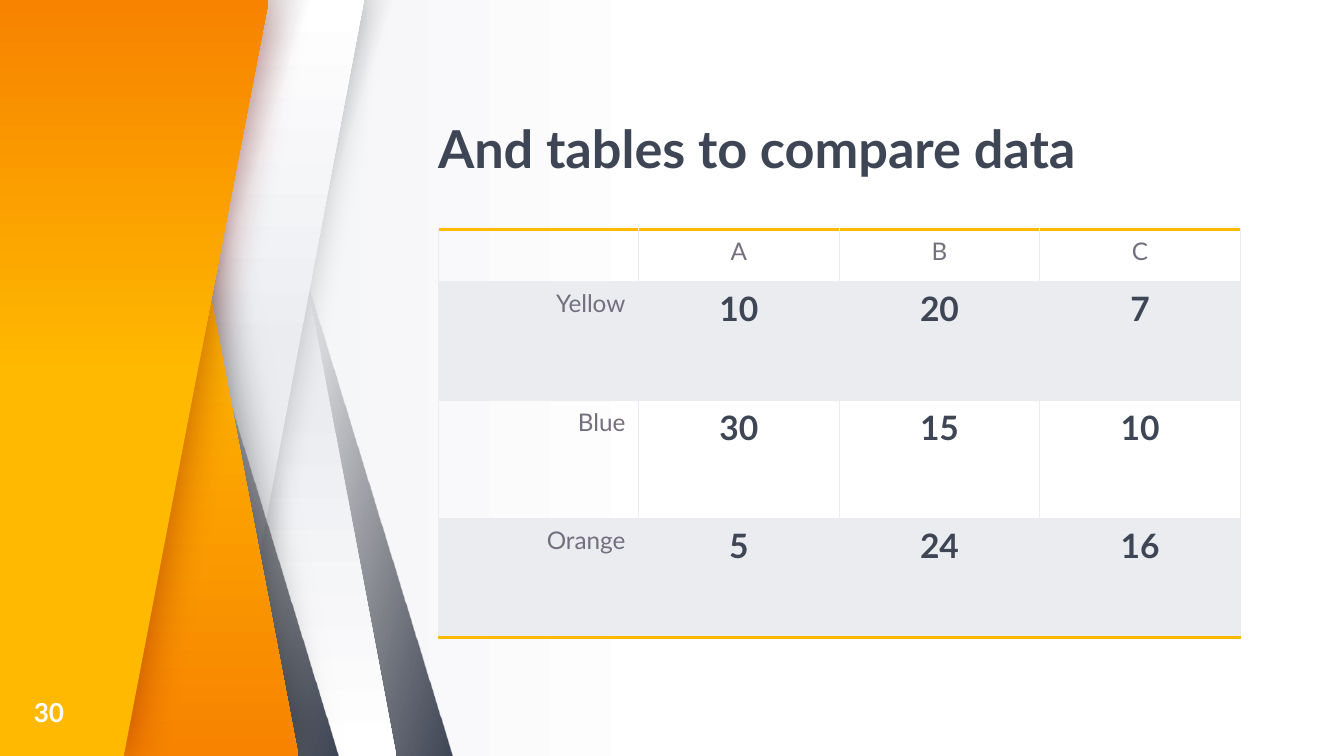
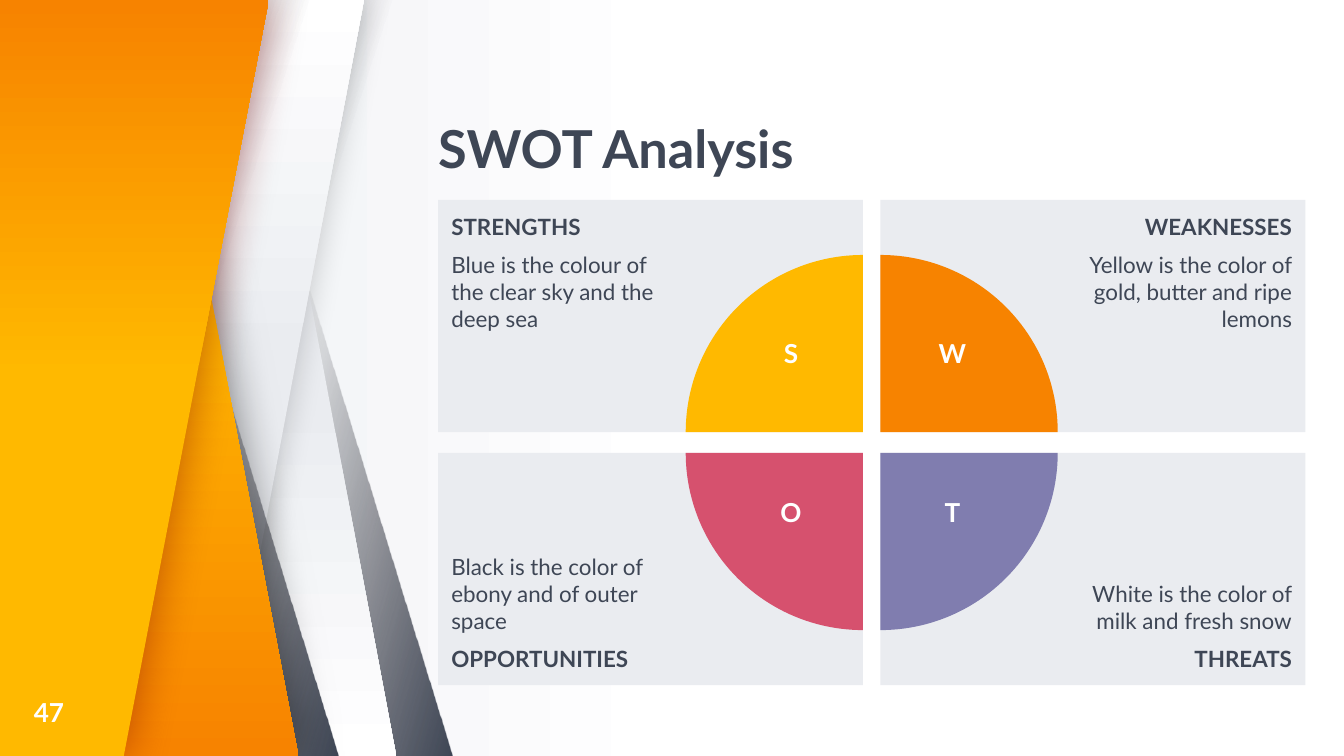
import dataclasses

import lxml.etree
import pptx
import pptx.dml.color
import pptx.enum.shapes
import pptx.enum.text
import pptx.oxml.ns
import pptx.util

Cm = pptx.util.Cm
Pt = pptx.util.Pt
qn = pptx.oxml.ns.qn
Align = pptx.enum.text.PP_ALIGN
Anchor = pptx.enum.text.MSO_ANCHOR
Preset = pptx.enum.shapes.MSO_SHAPE


@dataclasses.dataclass(frozen=True)
class Theme:
    font: str = "Lato"
    ink: str = "3E4655"
    muted: str = "746F7E"
    shade: str = "27252C"
    pale: str = "EAECF0"
    white: str = "FFFFFF"
    yellow: str = "FFB900"
    orange: str = "F78300"
    violet: str = "807DAF"
    red: str = "D6516E"
    black: str = "000000"
    maroon: str = "7E0808"
    title_size: float = 28
    value_size: float = 18
    mark_size: float = 14
    label_size: float = 13
    text_size: float = 12


THEME = Theme()
SLIDE_WIDTH, SLIDE_HEIGHT = 25.4, 14.29
CONTENT_LEFT = 8.28
STRIP_WIDTH = 5.84

TABLE_TITLE, TABLE_NUMBER = "And tables to compare data", "30"
TABLE_ROWS = [
    ["", "A", "B", "C"],
    ["Yellow", "10", "20", "7"],
    ["Blue", "30", "15", "10"],
    ["Orange", "5", "24", "16"],
]
TABLE_TOP, COLUMN_WIDTH, HEADER_HEIGHT, ROW_HEIGHT = 4.34, 3.79, 0.99, 2.24

SWOT_TITLE, SWOT_NUMBER = "SWOT Analysis", "47"
SWOT_PARTS = [
    ("S", "STRENGTHS", "Blue is the colour of the clear sky and the deep sea", THEME.yellow, -1, -1),
    ("W", "WEAKNESSES", "Yellow is the color of gold, butter and ripe lemons", THEME.orange, 1, -1),
    ("T", "THREATS", "White is the color of milk and fresh snow", THEME.violet, 1, 1),
    ("O", "OPPORTUNITIES", "Black is the color of ebony and of outer space", THEME.red, -1, 1),
]
SWOT_TOP, BOX_WIDTH, BOX_HEIGHT, GAP_X, GAP_Y = 3.78, 8.03, 4.39, 0.33, 0.39
RADIUS = 3.35

STEEP, SLIGHT = 0.75, 0.46
STRIPS = [
    (2.72, True, STEEP), (1.65, True, SLIGHT), (1.65, False, STEEP), (1.04, False, SLIGHT),
    (0.56, True, STEEP), (0.08, False, STEEP),
]
SHADOWED_STRIP = 3
LOWER_PANEL = [(0, 0), (0, SLIDE_HEIGHT), (5.64, SLIDE_HEIGHT), (2.92, 0)]
UPPER_PANEL = [(0, SLIDE_HEIGHT), (0, 0), (5.08, 0), (2.34, SLIDE_HEIGHT)]


def rgb(value):
    return pptx.dml.color.RGBColor.from_string(value)


def add_run(paragraph, text, size, color, bold=False):
    run = paragraph.add_run()
    run.text = text
    run.font.name = THEME.font
    run.font.size = Pt(size)
    run.font.bold = bold
    run.font.color.rgb = rgb(color)


def set_margins(frame, left, top, right, bottom):
    frame.margin_left, frame.margin_top = Cm(left), Cm(top)
    frame.margin_right, frame.margin_bottom = Cm(right), Cm(bottom)


def set_gradient(fill, start, start_color, end_color, angle, faded=False):
    fill.gradient()
    fill.gradient_angle = 360 - angle
    for stop, position, color in zip(fill.gradient_stops, (start, 1), (start_color, end_color)):
        stop.position = position
        stop.color.rgb = rgb(color)
    if faded:
        first_color = next(fill.gradient_stops[0]._gs.iter(qn("a:srgbClr")))
        lxml.etree.SubElement(first_color, qn("a:alpha"), val="0")


def clean(shape):
    shape.shadow.inherit = False
    shape.line.fill.background()
    return shape


def add_glow(shape, color, opacity, blur):
    effects = shape.element.spPr.find(qn("a:effectLst"))
    shadow = lxml.etree.SubElement(
        effects, qn("a:outerShdw"), blurRad=str(Pt(blur)), dist="0", dir="0", algn="ctr", rotWithShape="0")
    shadow_color = lxml.etree.SubElement(shadow, qn("a:srgbClr"), val=color)
    lxml.etree.SubElement(shadow_color, qn("a:alpha"), val=str(opacity * 1000))


def add_strip(slide, left, flipped, slant):
    strip = clean(slide.shapes.add_shape(
        Preset.PARALLELOGRAM, Cm(left), 0, Cm(STRIP_WIDTH), Cm(SLIDE_HEIGHT)))
    strip.adjustments[0] = slant
    if flipped:
        strip.element.spPr.get_or_add_xfrm().set("flipH", "1")
    if slant == STEEP:
        set_gradient(strip.fill, 0.45, THEME.shade, THEME.ink, 164 if flipped else 198, faded=True)
    else:
        set_gradient(strip.fill, 0.53, THEME.pale, THEME.white, 90 if flipped else 270)
    return strip


def add_panel(slide, points, start, angle, shadow_color):
    corners = [(Cm(x), Cm(y)) for x, y in points]
    builder = slide.shapes.build_freeform(*corners[0])
    builder.add_line_segments(corners[1:], close=True)
    panel = clean(builder.convert_to_shape())
    set_gradient(panel.fill, start, THEME.yellow, THEME.orange, angle)
    add_glow(panel, shadow_color, 50, 24.7)
    return panel


def decorate_layout(layout, slide):
    set_gradient(layout.background.fill, 0.5, THEME.white, THEME.pale, 180)
    bands = [add_strip(slide, *strip) for strip in STRIPS]
    add_glow(bands[SHADOWED_STRIP], THEME.black, 20, 16.9)
    bands.insert(-1, add_panel(slide, LOWER_PANEL, 0.37, 90, THEME.black))
    bands.append(add_panel(slide, UPPER_PANEL, 0.5, 270, THEME.maroon))
    for position, band in enumerate(bands, start=2):
        layout.shapes.element.insert(position, band.element)

    title = layout.placeholders[0]
    title.left, title.top = Cm(CONTENT_LEFT), Cm(2.31)
    title.width, title.height = Cm(4 * COLUMN_WIDTH), Cm(1.09)
    frame = title.text_frame
    frame.vertical_anchor = Anchor.BOTTOM
    frame.auto_size = pptx.enum.text.MSO_AUTO_SIZE.NONE
    set_margins(frame, 0, 0, 0, 0)


def add_heading(slide, title, number):
    paragraph = slide.shapes.title.text_frame.paragraphs[0]
    paragraph.alignment = Align.LEFT
    paragraph.line_spacing = 0.9
    add_run(paragraph, title, THEME.title_size, THEME.ink, True)
    frame = slide.shapes.add_textbox(Cm(0.64), Cm(13.11), Cm(1.02), Cm(0.69)).text_frame
    frame.word_wrap = True
    frame.vertical_anchor = Anchor.MIDDLE
    set_margins(frame, 0, 0, 0, 0)
    add_run(frame.paragraphs[0], number, THEME.mark_size, THEME.white, True)


def set_borders(cell, top, bottom):
    properties = cell._tc.get_or_add_tcPr()
    thin = (THEME.pale, 0.75)
    sides = [("a:lnL", thin), ("a:lnR", thin), ("a:lnT", top or thin), ("a:lnB", bottom or thin)]
    for position, (tag, (color, width)) in enumerate(sides):
        line = lxml.etree.Element(qn(tag), w=str(Pt(width)))
        fill = lxml.etree.SubElement(line, qn("a:solidFill"))
        lxml.etree.SubElement(fill, qn("a:srgbClr"), val=color)
        properties.insert(position, line)


def add_comparison_table(slide):
    last = len(TABLE_ROWS) - 1
    columns = len(TABLE_ROWS[0])
    table = slide.shapes.add_table(
        len(TABLE_ROWS), columns, Cm(CONTENT_LEFT), Cm(TABLE_TOP),
        Cm(columns * COLUMN_WIDTH), Cm(HEADER_HEIGHT + last * ROW_HEIGHT)).table
    table.first_row = table.horz_banding = False
    for column in table.columns:
        column.width = Cm(COLUMN_WIDTH)
    accent = (THEME.yellow, 2.21)
    for row, texts in enumerate(TABLE_ROWS):
        table.rows[row].height = Cm(ROW_HEIGHT if row else HEADER_HEIGHT)
        for column, text in enumerate(texts):
            cell = table.cell(row, column)
            if row % 2:
                cell.fill.solid()
                cell.fill.fore_color.rgb = rgb(THEME.pale)
            else:
                cell.fill.background()
            set_borders(cell, accent if row == 0 else None, accent if row == last else None)
            if not text:
                cell.margin_top = cell.margin_bottom = 0
                continue
            paragraph = cell.text_frame.paragraphs[0]
            paragraph.alignment = Align.CENTER if column else Align.RIGHT
            if row and column:
                add_run(paragraph, text, THEME.value_size, THEME.ink, True)
            else:
                add_run(paragraph, text, THEME.label_size, THEME.muted)


def add_swot_box(slide, heading, text, side_x, side_y):
    left = CONTENT_LEFT + (BOX_WIDTH + GAP_X) * (side_x > 0)
    top = SWOT_TOP + (BOX_HEIGHT + GAP_Y) * (side_y > 0)
    box = clean(slide.shapes.add_shape(
        Preset.RECTANGLE, Cm(left), Cm(top), Cm(BOX_WIDTH), Cm(BOX_HEIGHT)))
    box.fill.solid()
    box.fill.fore_color.rgb = rgb(THEME.pale)
    frame = box.text_frame
    frame.word_wrap = True
    frame.vertical_anchor = Anchor.TOP if side_y < 0 else Anchor.BOTTOM
    outer, inner = 0.25, 3.81
    set_margins(frame, *((outer, outer, inner, outer) if side_x < 0 else (inner, outer, outer, outer)))
    lines = [(heading, True), (text, False)][::-side_y]
    for index, (line, bold) in enumerate(lines):
        paragraph = frame.add_paragraph() if index else frame.paragraphs[0]
        paragraph.alignment = Align.LEFT if side_x < 0 else Align.RIGHT
        if index:
            paragraph.space_before = paragraph.space_after = Pt(6)
        add_run(paragraph, line, THEME.text_size, THEME.ink, bold)


def add_swot_quarter(slide, letter, color, turn, side_x, side_y):
    center_x = CONTENT_LEFT + BOX_WIDTH + GAP_X * (side_x > 0)
    center_y = SWOT_TOP + BOX_HEIGHT + GAP_Y * (side_y > 0)
    quarter = clean(slide.shapes.add_shape(
        Preset.PIE, Cm(center_x - RADIUS), Cm(center_y - RADIUS), Cm(2 * RADIUS), Cm(2 * RADIUS)))
    quarter.adjustments[0], quarter.adjustments[1] = 108, 162
    quarter.rotation = turn
    quarter.fill.solid()
    quarter.fill.fore_color.rgb = rgb(color)

    width, height = 1.3, 1.22
    letter_x, letter_y = center_x + 1.36 * side_x, center_y + 1.3 * side_y
    frame = slide.shapes.add_textbox(
        Cm(letter_x - width / 2), Cm(letter_y - height / 2), Cm(width), Cm(height)).text_frame
    frame.word_wrap = False
    paragraph = frame.paragraphs[0]
    paragraph.alignment = Align.CENTER
    add_run(paragraph, letter, THEME.mark_size, THEME.white, True)


def main():
    presentation = pptx.Presentation()
    presentation.slide_width, presentation.slide_height = Cm(SLIDE_WIDTH), Cm(SLIDE_HEIGHT)
    layout = presentation.slide_layouts.get_by_name("Title Only")

    table_slide = presentation.slides.add_slide(layout)
    decorate_layout(layout, table_slide)
    add_heading(table_slide, TABLE_TITLE, TABLE_NUMBER)
    add_comparison_table(table_slide)

    swot_slide = presentation.slides.add_slide(layout)
    add_heading(swot_slide, SWOT_TITLE, SWOT_NUMBER)
    for letter, heading, text, color, side_x, side_y in SWOT_PARTS:
        add_swot_box(swot_slide, heading, text, side_x, side_y)
    for index, (letter, heading, text, color, side_x, side_y) in enumerate(SWOT_PARTS):
        add_swot_quarter(swot_slide, letter, color, 90 * index, side_x, side_y)

    presentation.save("out.pptx")


if __name__ == "__main__":
    main()
